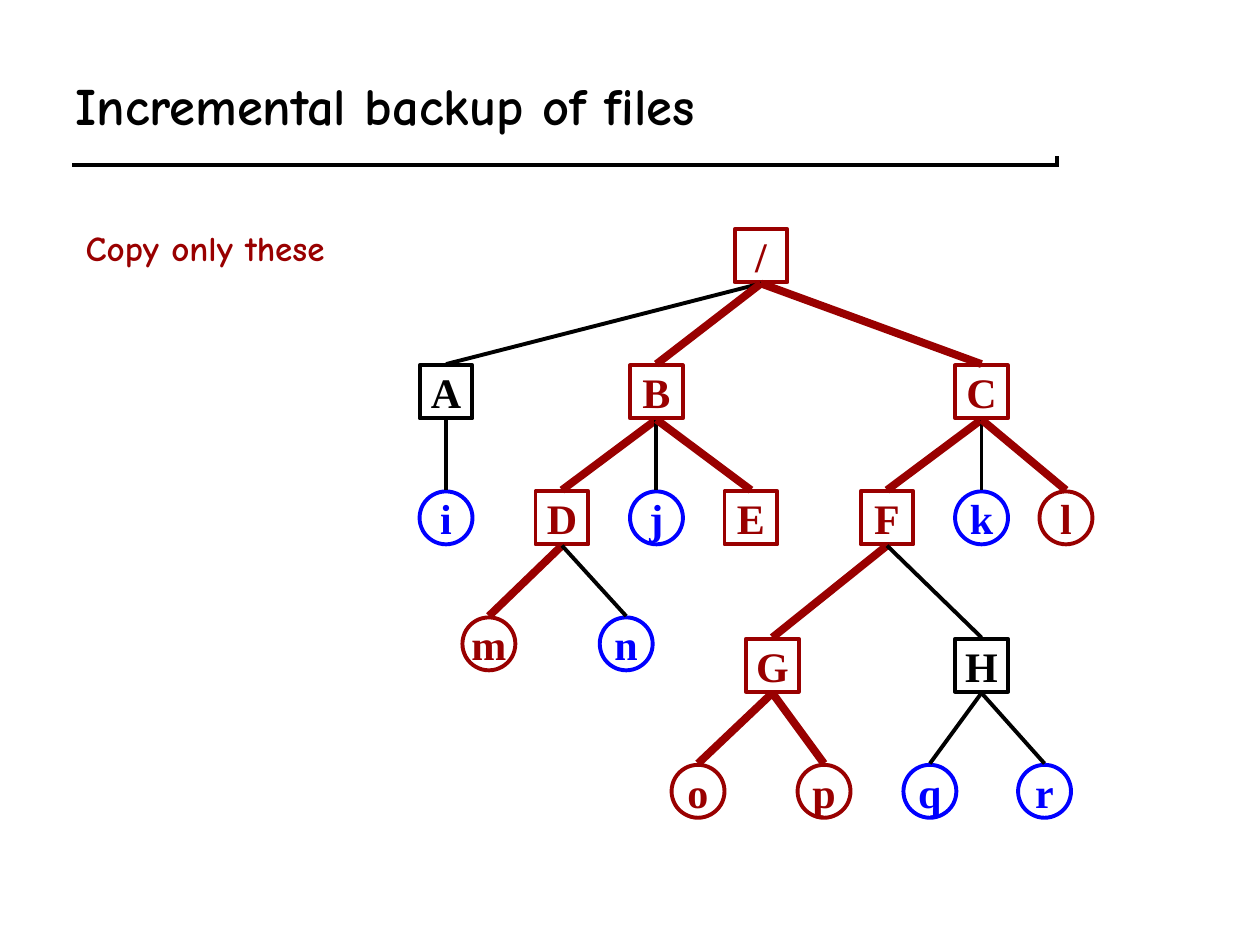
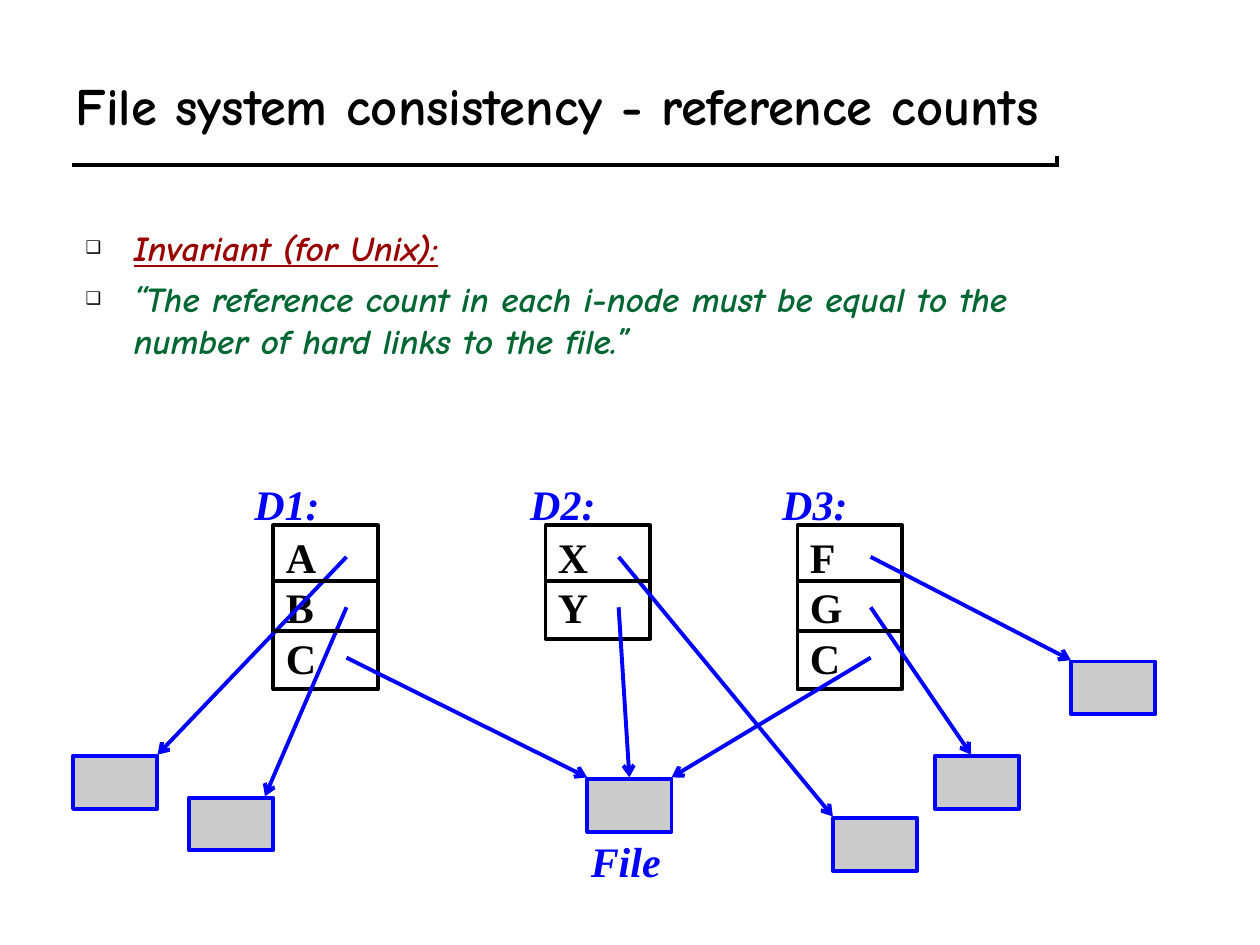
import pptx
import pptx.util
import pptx.dml.color
import pptx.enum.shapes
import pptx.enum.text
import pptx.oxml
import pptx.oxml.ns
from lxml import etree

Inches = pptx.util.Inches
Pt = pptx.util.Pt
SHAPE = pptx.enum.shapes.MSO_SHAPE
ALIGN = pptx.enum.text.PP_ALIGN
ANCHOR = pptx.enum.text.MSO_ANCHOR
FIT = pptx.enum.text.MSO_AUTO_SIZE

BLACK, WHITE, RED, BLUE = "000000", "FFFFFF", "990000", "0000FF"
GREEN, GREY = "006733", "CBCBCB"
HEADING_FONT, DIAGRAM_FONT = "Comic Neue", "Times New Roman"

BACKUP_TITLE = "Incremental backup of files"
BACKUP_LINES = [("Copy only these", RED, False, False)]
NODE_SIZE = 0.42
EDGE_GAP = 0.01
TREE_ROWS = {
    1.82: {"/": 5.83},
    2.9: {"A": 3.33, "B": 5, "C": 7.58},
    3.9: {"i": 3.33, "D": 4.25, "j": 5, "E": 5.75, "F": 6.83, "k": 7.58, "l": 8.25},
    4.9: {"m": 3.67, "n": 4.76},
    5.07: {"G": 5.92, "H": 7.58},
    6.07: {"o": 5.33, "p": 6.33, "q": 7.17, "r": 8.08},
}
CHILDREN = {"/": "ABC", "A": "i", "B": "DjE", "C": "Fkl", "D": "mn",
            "F": "GH", "G": "op", "H": "qr"}
CHANGED = "/BCDEFGlmop"

COUNTS_TITLE = "File system consistency - reference counts"
COUNTS_LINES = [
    ("Invariant (for Unix):", RED, True, True),
    ("“The reference count in each i-node must be equal to the number of "
     "hard links to the file.”", GREEN, True, False),
]
BLOCK_WIDTH, BLOCK_HEIGHT = 0.67, 0.42
BLOCKS = {"far right": (8.5, 5.25), "right": (7.42, 6), "far left": (0.58, 6),
          "left": (1.5, 6.33), "file": (4.66, 6.18), "lower right": (6.61, 6.49)}
DIRECTORY_TOP, DIRECTORY_WIDTH, ENTRY_HEIGHT = 4.17, 0.83, 0.4
DIRECTORIES = [
    ("D1:", 1.92, 2.17, [("A", "far left", 1), ("B", "left", 0.9), ("C", "file", 0)]),
    ("D2:", 4.11, 4.33, [("X", "lower right", 0), ("Y", "file", 0.5)]),
    ("D3:", 6.11, 6.33, [("F", "far right", 0), ("G", "right", 0.43), ("C", "file", 1)]),
]


def color(value):
    return pptx.dml.color.RGBColor.from_string(value)


def set_font(para, name, size, shade, italic=False, underline=False):
    font = para.font
    font.name, font.size, font.bold = name, Pt(size), True
    font.italic, font.underline = italic, underline
    font.color.rgb = color(shade)


def place(item, left, top, width, height):
    item.left, item.top = Inches(left), Inches(top)
    item.width, item.height = Inches(width), Inches(height)


def add_line(page, start, end, shade, weight=2.25, arrow=False, cap="flat"):
    points = [Inches(value) for value in (*start, *end)]
    line = page.shapes.add_connector(pptx.enum.shapes.MSO_CONNECTOR.STRAIGHT, *points)
    line.line.color.rgb = color(shade)
    line.line.width = Pt(weight)
    outline = line._element.spPr.find(pptx.oxml.ns.qn("a:ln"))
    outline.set("cap", cap)
    if arrow:
        etree.SubElement(outline, pptx.oxml.ns.qn("a:tailEnd"), type="arrow")
    etree.SubElement(line._element.spPr, pptx.oxml.ns.qn("a:effectLst"))


def add_outline(page, kind, left, top, width, height, shade, fill=None):
    box = page.shapes.add_shape(kind, *map(Inches, (left, top, width, height)))
    box.shadow.inherit = False
    box.line.color.rgb = color(shade)
    box.line.width = Pt(2.25)
    if fill:
        box.fill.solid()
        box.fill.fore_color.rgb = color(fill)
    else:
        box.fill.background()
    return box


def write_lines(box, lines, shade, align=ALIGN.LEFT, anchor=ANCHOR.TOP, wrap=True, italic=False):
    frame = box.text_frame
    frame.text = "\n".join(lines)
    frame.word_wrap = wrap
    frame.vertical_anchor = anchor
    for para in frame.paragraphs:
        para.alignment = align
        set_font(para, DIAGRAM_FONT, 24, shade, italic)


def add_label(page, text, left, top, width):
    box = page.shapes.add_textbox(*map(Inches, (left, top, width, 0.5)))
    write_lines(box, [text], BLUE, wrap=False, italic=True)
    box.text_frame.auto_size = FIT.SHAPE_TO_FIT_TEXT


def add_bullet(para, mark):
    properties = para._p.get_or_add_pPr()
    properties.set("marL", str(Inches(0.38)))
    properties.set("indent", str(-Inches(0.38)))

    def add(parent, tag, **attributes):
        return etree.SubElement(parent, pptx.oxml.ns.qn(tag), attributes)

    if mark:
        add(add(properties, "a:buClr"), "a:srgbClr", val=BLACK)
        add(properties, "a:buSzPct", val="50000")
        add(properties, "a:buChar", char=mark)
    else:
        add(properties, "a:buNone")


def add_page(deck, title, title_width, lines, mark=None):
    page = deck.slides.add_slide(deck.slide_layouts[1])
    add_line(page, (0.61, 1.28), (8.36, 1.28), BLACK, 6, cap="sq")
    add_line(page, (0.58, 1.25), (8.33, 1.25), WHITE, 6, cap="sq")
    heading, body = page.shapes.title, page.placeholders[1]
    place(heading, 0.5, 0.33, title_width, 1)
    place(body, 0.58, 1.75, 8.5, 4.92)
    for box in (heading, body):
        box.text_frame.auto_size = FIT.NONE
        box.text_frame.word_wrap = True
    heading.text_frame.text = title
    heading.text_frame.vertical_anchor = ANCHOR.MIDDLE
    para = heading.text_frame.paragraphs[0]
    para.alignment = ALIGN.LEFT
    set_font(para, HEADING_FONT, 30, BLACK)
    body.text_frame.text = "\n".join(line[0] for line in lines)
    for number, (para, line) in enumerate(zip(body.text_frame.paragraphs, lines)):
        add_bullet(para, mark)
        para.space_before = Pt(5 if number else 0)
        set_font(para, HEADING_FONT, 20, *line[1:])
    return page


def build_backup_page(deck):
    page = add_page(deck, BACKUP_TITLE, 8.58, BACKUP_LINES)
    places = {}
    for top, row in TREE_ROWS.items():
        for name, left in row.items():
            is_directory = not name.islower()
            shade = RED if name in CHANGED else BLACK if is_directory else BLUE
            kind = SHAPE.RECTANGLE if is_directory else SHAPE.OVAL
            node = add_outline(page, kind, left, top, NODE_SIZE, NODE_SIZE, shade)
            write_lines(node, [name], shade, ALIGN.CENTER, ANCHOR.MIDDLE, wrap=False)
            places[name] = (left + NODE_SIZE / 2, top)
    for parent, names in CHILDREN.items():
        x, top = places[parent]
        for name in names:
            child_x, child_top = places[name]
            shade, weight = (RED, 4.5) if name in CHANGED else (BLACK, 2.25)
            add_line(page, (x, top + NODE_SIZE + EDGE_GAP),
                     (child_x, child_top - EDGE_GAP), shade, weight)


def build_counts_page(deck):
    page = add_page(deck, COUNTS_TITLE, 9.31, COUNTS_LINES, "❑")
    for label, label_left, left, entries in DIRECTORIES:
        height = 0.1 + ENTRY_HEIGHT * len(entries)
        box = add_outline(page, SHAPE.RECTANGLE, left, DIRECTORY_TOP,
                          DIRECTORY_WIDTH, height, BLACK)
        write_lines(box, [entry[0] for entry in entries], BLACK)
        add_label(page, label, label_left, 3.75, 0.72)
        for number, (name, target, share) in enumerate(entries):
            block_left, block_top = BLOCKS[target]
            add_line(page, (left + 0.58, DIRECTORY_TOP + 0.25 + ENTRY_HEIGHT * number),
                     (block_left + BLOCK_WIDTH * share, block_top - 0.01), BLUE, arrow=True)
            if number:
                y = DIRECTORY_TOP + 0.04 + ENTRY_HEIGHT * number
                add_line(page, (left, y), (left + DIRECTORY_WIDTH, y), BLACK)
    for left, top in BLOCKS.values():
        add_outline(page, SHAPE.RECTANGLE, left, top, BLOCK_WIDTH, BLOCK_HEIGHT, BLUE, GREY)
    add_label(page, "File", 4.59, 6.58, 0.78)


def main():
    deck = pptx.Presentation()
    deck.slide_width, deck.slide_height = Inches(10), Inches(7.5)
    build_backup_page(deck)
    build_counts_page(deck)
    deck.save("out.pptx")


if __name__ == "__main__":
    main()
